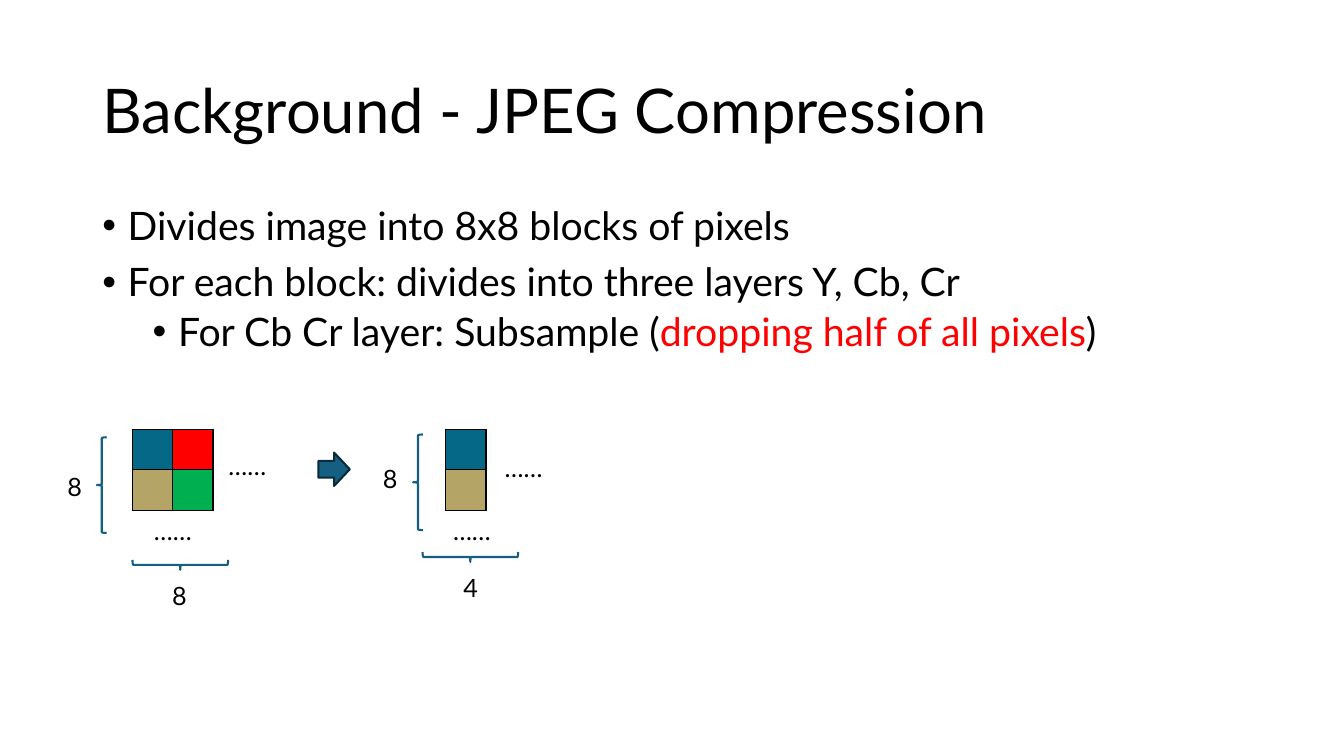
from lxml.etree import SubElement
from pptx import Presentation
from pptx.dml.color import RGBColor
from pptx.enum.shapes import MSO_SHAPE
from pptx.enum.text import MSO_ANCHOR, PP_ALIGN
from pptx.oxml.ns import qn
from pptx.util import Cm, Pt

FONT = "Lato"
BLACK, RED, BLUE, NAVY = "000000", "FF0000", "156082", "092A39"
TEAL, SAND, GREEN = "056887", "B4A465", "00B050"
CELL = 1.02
DOTS_W, LABEL_W, TEXT_H = 8.71, 0.89, 1.02
BRACE = (0.25, 2.41)


def rgb(color):
    return RGBColor.from_string(color)


def style(run, size, color=BLACK):
    run.font.name = FONT
    run.font.size = Pt(size)
    run.font.color.rgb = rgb(color)


def add_text(slide, x, y, w, h, text, size, align=PP_ALIGN.LEFT):
    box = slide.shapes.add_textbox(Cm(x), Cm(y), Cm(w), Cm(h))
    frame = box.text_frame
    frame.word_wrap = True
    frame.text = text
    para = frame.paragraphs[0]
    para.alignment = align
    style(para.runs[0], size)
    return frame


def add_title(slide, text):
    frame = add_text(slide, 2.33, 1.02, 29.21, 3.68, text, 44)
    frame.vertical_anchor = MSO_ANCHOR.MIDDLE
    frame.paragraphs[0].line_spacing = 0.9


def add_bullets(slide, items):
    """Each item is a level, the space before, and (text, colour) parts."""
    box = slide.shapes.add_textbox(Cm(2.33), Cm(5.08), Cm(29.21), Cm(12.09))
    frame = box.text_frame
    frame.word_wrap = True
    for i, (level, gap, parts) in enumerate(items):
        para = frame.add_paragraph() if i else frame.paragraphs[0]
        props = para._p.get_or_add_pPr()
        props.set("marL", str(Cm(0.64 + 1.27 * level)))
        props.set("indent", str(Cm(-0.64)))
        SubElement(props, qn("a:buFont"), typeface="Arial")
        SubElement(props, qn("a:buChar"), char="•")
        para.level = level
        para.line_spacing = 0.9
        para.space_before = Pt(gap)
        for text, color in parts:
            run = para.add_run()
            run.text = text
            style(run, 28, color)


def add_border(cell):
    props = cell._tc.get_or_add_tcPr()
    for side in ("lnL", "lnR", "lnT", "lnB"):
        line = SubElement(props, qn(f"a:{side}"), w=str(Pt(1)))
        fill = SubElement(line, qn("a:solidFill"))
        SubElement(fill, qn("a:srgbClr"), val=BLACK)


def add_pixels(slide, x, y, rows):
    count, width = len(rows), len(rows[0])
    table = slide.shapes.add_table(
        count, width, Cm(x), Cm(y), Cm(CELL * width), Cm(CELL * count)).table
    table.first_row = table.horz_banding = False
    for col in table.columns:
        col.width = Cm(CELL)
    for r, colors in enumerate(rows):
        table.rows[r].height = Cm(CELL)
        for c, color in enumerate(colors):
            cell = table.cell(r, c)
            cell.margin_top = cell.margin_bottom = 0
            add_border(cell)
            cell.fill.solid()
            cell.fill.fore_color.rgb = rgb(color)


def add_shape(slide, kind, x, y, w, h, line, fill=None, turn=0):
    shape = slide.shapes.add_shape(kind, Cm(x), Cm(y), Cm(w), Cm(h))
    shape.shadow.inherit = False
    shape.rotation = turn
    shape.line.color.rgb = rgb(line)
    shape.line.width = Pt(1.5)
    if fill:
        shape.fill.solid()
        shape.fill.fore_color.rgb = rgb(fill)
    else:
        shape.fill.background()


def add_block(slide, x, rows, dots, braces, labels):
    """Draw a pixel grid with its dots, braces and size labels."""
    add_pixels(slide, x, 10.82, rows)
    for left, top in dots:
        add_text(slide, left, top, DOTS_W, TEXT_H, "……", 18, PP_ALIGN.CENTER)
    for (left, top), turn in zip(braces, (0, 270)):
        add_shape(slide, MSO_SHAPE.LEFT_BRACE, left, top, *BRACE, BLUE, turn=turn)
    for left, top, text in labels:
        add_text(slide, left, top, LABEL_W, TEXT_H, text, 18)


def main():
    deck = Presentation()
    deck.slide_width, deck.slide_height = Cm(33.87), Cm(19.05)
    slide = deck.slides.add_slide(deck.slide_layouts[6])
    add_title(slide, "Background - JPEG Compression")
    add_bullets(slide, [
        (0, 0, [("Divides image into 8x8 blocks of pixels", BLACK)]),
        (0, 10, [("For each block: divides into three layers Y, Cb, Cr", BLACK)]),
        (1, 5, [("For Cb Cr layer: Subsample (", BLACK),
                ("dropping half of all pixels", RED), (")", BLACK)]),
    ])
    add_block(slide, 3.33, [(TEAL, RED), (SAND, GREEN)],
              dots=[(0, 12.85), (1.88, 11.23)],
              braces=[(2.44, 11.02), (4.42, 13.03)],
              labels=[(1.45, 11.76, "8"), (4.09, 14.5, "8")])
    add_shape(slide, MSO_SHAPE.DOWN_ARROW, 8, 11.43, 0.84, 0.79, NAVY, BLUE, 270)
    add_block(slide, 11.23, [(TEAL,), (SAND,)],
              dots=[(7.54, 12.85), (8.84, 11.28)],
              braces=[(10.41, 10.95), (11.73, 12.83)],
              labels=[(9.4, 11.56, "8"), (11.43, 14.3, "4")])
    deck.save("out.pptx")


if __name__ == "__main__":
    main()
